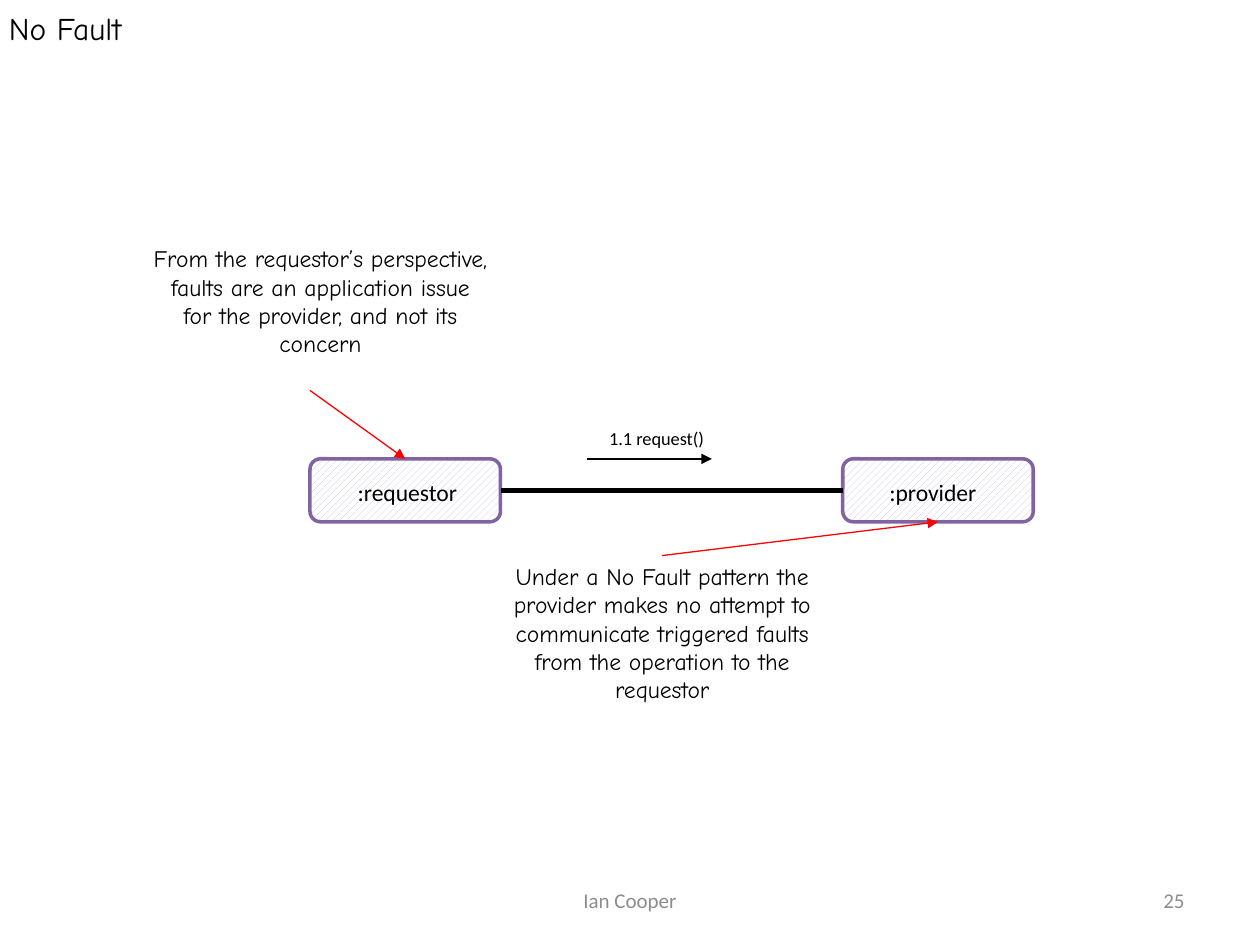
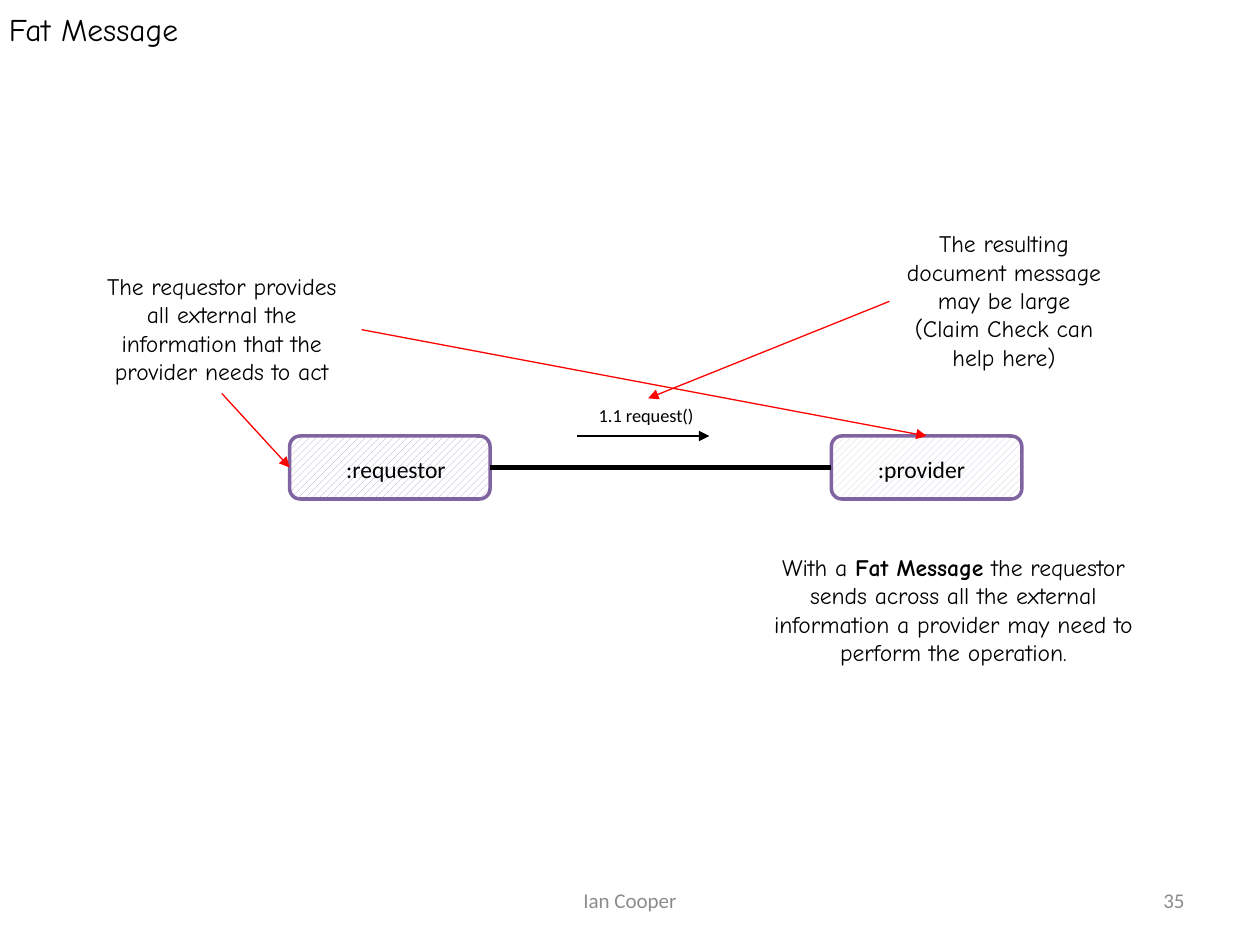
"""Build two messaging-pattern slides: No Fault and Fat Message."""
from dataclasses import dataclass
from typing import Any, Optional, Union

import pptx
import pptx.dml.color
import pptx.enum.dml
import pptx.enum.shapes
import pptx.enum.text
import pptx.oxml.ns
import pptx.util
from lxml import etree

Cm = pptx.util.Cm
Align = pptx.enum.text.PP_ALIGN
Anchor = pptx.enum.text.MSO_ANCHOR
TOP, LEFT, BOTTOM, RIGHT = range(4)


@dataclass(frozen=True)
class Theme:
    ink: str = "000000"
    paper: str = "FFFFFF"
    muted: str = "8C8C8C"
    border: str = "8064A2"
    hatch: str = "CCC1DA"
    dark_hatch: str = "B3A2C7"
    callout: str = "FF0000"
    hand_font: str = "Comic Neue"
    plain_font: str = "Calibri"
    title_size: float = 18
    body_size: float = 13.5
    footer_size: float = 12
    message_size: float = 10.5
    border_width: float = 2
    link_width: float = 2.5
    message_width: float = 1.5
    callout_width: float = 0.75


@dataclass(frozen=True)
class Area:
    left: float
    top: float
    width: float
    height: float


@dataclass(frozen=True)
class Participant:
    name: str
    left: float
    width: float
    label_indent: float
    label_width: float
    hatch: str


@dataclass(frozen=True)
class Note:
    key: str
    text: str
    area: Area


@dataclass(frozen=True)
class Joint:
    item: str
    side: int


@dataclass(frozen=True)
class Point:
    x: float
    y: float


End = Union[Joint, Point]


@dataclass(frozen=True)
class Pattern:
    title: str
    title_top: float
    page: str
    row_top: float
    participants: tuple[Participant, Participant]
    message_start: float
    message_end: float
    notes: tuple[Note, ...]
    pointers: tuple[tuple[End, End], ...]


THEME = Theme()
SLIDE_WIDTH, SLIDE_HEIGHT = 25.4, 19.05
BOX_HEIGHT = 1.27
FOOTER_TOP, FOOTER_HEIGHT = 17.65, 1.01
AUTHOR_AREA = Area(8.68, FOOTER_TOP, 8.04, FOOTER_HEIGHT)
PAGE_AREA = Area(18.2, FOOTER_TOP, 5.93, FOOTER_HEIGHT)

PATTERNS = (
    Pattern(
        "No Fault", 0, "25", 9.25,
        (Participant("requestor", 6.25, 3.84, 0.71, 2.77, THEME.hatch),
         Participant("provider", 16.99, 3.84, 0.69, 2.44, THEME.hatch)),
        11.84, 14.35,
        (Note("pattern", "Under a No Fault pattern the provider makes no attempt to "
              "communicate triggered faults from the operation to the requestor",
              Area(9.73, 11.2, 7.24, 3.15)),
         Note("perspective", "From the requestor’s perspective, faults are an application "
              "issue for the provider, and not its concern",
              Area(2.84, 4.8, 7.24, 2.57))),
        ((Joint("pattern", TOP), Joint("provider", BOTTOM)),
         (Point(6.25, 7.87), Joint("requestor", TOP))),
    ),
    Pattern(
        "Fat Message", 0.03, "35", 8.79,
        (Participant("requestor", 5.84, 4.04, 0.89, 2.77, THEME.dark_hatch),
         Participant("provider", 16.76, 3.84, 0.69, 2.44, THEME.hatch)),
        11.63, 14.3,
        (Note("information", "The requestor provides all external the information that "
              "the provider needs to act", Area(1.65, 5.36, 5.64, 2.57)),
         Note("size", "The resulting document message may be large "
              "(Claim Check can help here)", Area(17.93, 4.5, 4.62, 3.15)),
         Note("pattern", "With a **Fat Message** the requestor sends across all the "
              "external information a provider may need to perform the operation.",
              Area(15.04, 11.02, 8.36, 2.57))),
        ((Joint("information", BOTTOM), Joint("requestor", LEFT)),
         (Joint("information", RIGHT), Joint("provider", TOP)),
         (Joint("size", LEFT), Joint("message", TOP))),
    ),
)


def rgb(value: str) -> pptx.dml.color.RGBColor:
    """Turn a hex string into a colour."""
    return pptx.dml.color.RGBColor.from_string(value)


def place(area: Area) -> tuple[int, ...]:
    """Give the lengths of an area in the order python-pptx expects."""
    return tuple(Cm(n) for n in (area.left, area.top, area.width, area.height))


def add_text(slide: Any, text: str, area: Area, *, size: float = THEME.body_size,
             font: str = THEME.plain_font, color: str = THEME.ink,
             align: Any = Align.LEFT, anchor: Any = Anchor.TOP,
             inset: Optional[float] = None, grow: bool = True) -> Any:
    """Write one paragraph, with bold stretches between double asterisks."""
    box = slide.shapes.add_textbox(*place(area))
    frame = box.text_frame
    frame.word_wrap = True
    frame.vertical_anchor = anchor
    if grow:
        frame.auto_size = pptx.enum.text.MSO_AUTO_SIZE.SHAPE_TO_FIT_TEXT
    if inset is not None:
        frame.margin_left = frame.margin_right = Cm(inset)
        frame.margin_top = frame.margin_bottom = Cm(inset)
    paragraph = frame.paragraphs[0]
    paragraph.alignment = align
    for index, piece in enumerate(text.split("**")):
        run = paragraph.add_run()
        run.text = piece
        run.font.name = font
        run.font.size = pptx.util.Pt(size)
        run.font.bold = index % 2 == 1
        run.font.color.rgb = rgb(color)
    return box


def add_line(slide: Any, items: dict[str, Any], start: End, end: End, *,
             color: str, width: float, arrow: bool = True) -> None:
    """Draw a straight connector between joints or free points."""
    first, last = (e if isinstance(e, Point) else Point(0, 0) for e in (start, end))
    line = slide.shapes.add_connector(
        pptx.enum.shapes.MSO_CONNECTOR.STRAIGHT,
        Cm(first.x), Cm(first.y), Cm(last.x), Cm(last.y))
    for target, connect in ((start, line.begin_connect), (end, line.end_connect)):
        if isinstance(target, Joint):
            connect(items[target.item], target.side)
    line.line.color.rgb = rgb(color)
    line.line.width = pptx.util.Pt(width)
    qn = pptx.oxml.ns.qn
    if arrow:
        etree.SubElement(line.get_or_add_ln(), qn("a:tailEnd"), type="triangle")
    etree.SubElement(line._element.spPr, qn("a:effectLst"))


def add_participant(slide: Any, participant: Participant, top: float) -> Any:
    """Draw a hatched participant box and its label."""
    box = slide.shapes.add_shape(
        pptx.enum.shapes.MSO_SHAPE.ROUNDED_RECTANGLE,
        *place(Area(participant.left, top, participant.width, BOX_HEIGHT)))
    box.shadow.inherit = False
    box.fill.patterned()
    box.fill.pattern = pptx.enum.dml.MSO_PATTERN.WIDE_UPWARD_DIAGONAL
    box.fill.fore_color.rgb = rgb(participant.hatch)
    box.fill.back_color.rgb = rgb(THEME.paper)
    box.line.color.rgb = rgb(THEME.border)
    box.line.width = pptx.util.Pt(THEME.border_width)
    add_text(slide, f":{participant.name}",
             Area(participant.left + participant.label_indent, top + 0.25,
                  participant.label_width, 0.84))
    return box


def add_frame(slide: Any, pattern: Pattern) -> None:
    """Write the title and the footer."""
    add_text(slide, pattern.title, Area(0, pattern.title_top, SLIDE_WIDTH, 1.14),
             size=THEME.title_size, font=THEME.hand_font, inset=0.18)
    for text, area, align in (("Ian Cooper", AUTHOR_AREA, Align.CENTER),
                              (pattern.page, PAGE_AREA, Align.RIGHT)):
        add_text(slide, text, area, size=THEME.footer_size, color=THEME.muted,
                 align=align, anchor=Anchor.MIDDLE, grow=False)


def add_pattern(deck: Any, pattern: Pattern) -> None:
    """Build the slide of one pattern."""
    slide = deck.slides.add_slide(deck.slide_layouts[6])
    add_frame(slide, pattern)
    top = pattern.row_top
    items = {p.name: add_participant(slide, p, top) for p in pattern.participants}
    add_line(slide, items, Joint("requestor", RIGHT), Joint("provider", LEFT),
             color=THEME.ink, width=THEME.link_width, arrow=False)
    add_line(slide, items, Point(pattern.message_start, top),
             Point(pattern.message_end, top),
             color=THEME.ink, width=THEME.message_width)
    items["message"] = add_text(
        slide, "1.1 request()", Area(pattern.message_start + 0.19, top - 0.76, 2.49, 0.71),
        size=THEME.message_size)
    for note in pattern.notes:
        items[note.key] = add_text(slide, note.text, note.area,
                                   font=THEME.hand_font, align=Align.CENTER)
    for start, end in pattern.pointers:
        add_line(slide, items, start, end,
                 color=THEME.callout, width=THEME.callout_width)


def main() -> None:
    """Build and save the deck."""
    deck = pptx.Presentation()
    deck.slide_width, deck.slide_height = Cm(SLIDE_WIDTH), Cm(SLIDE_HEIGHT)
    for pattern in PATTERNS:
        add_pattern(deck, pattern)
    deck.save("out.pptx")


if __name__ == "__main__":
    main()
